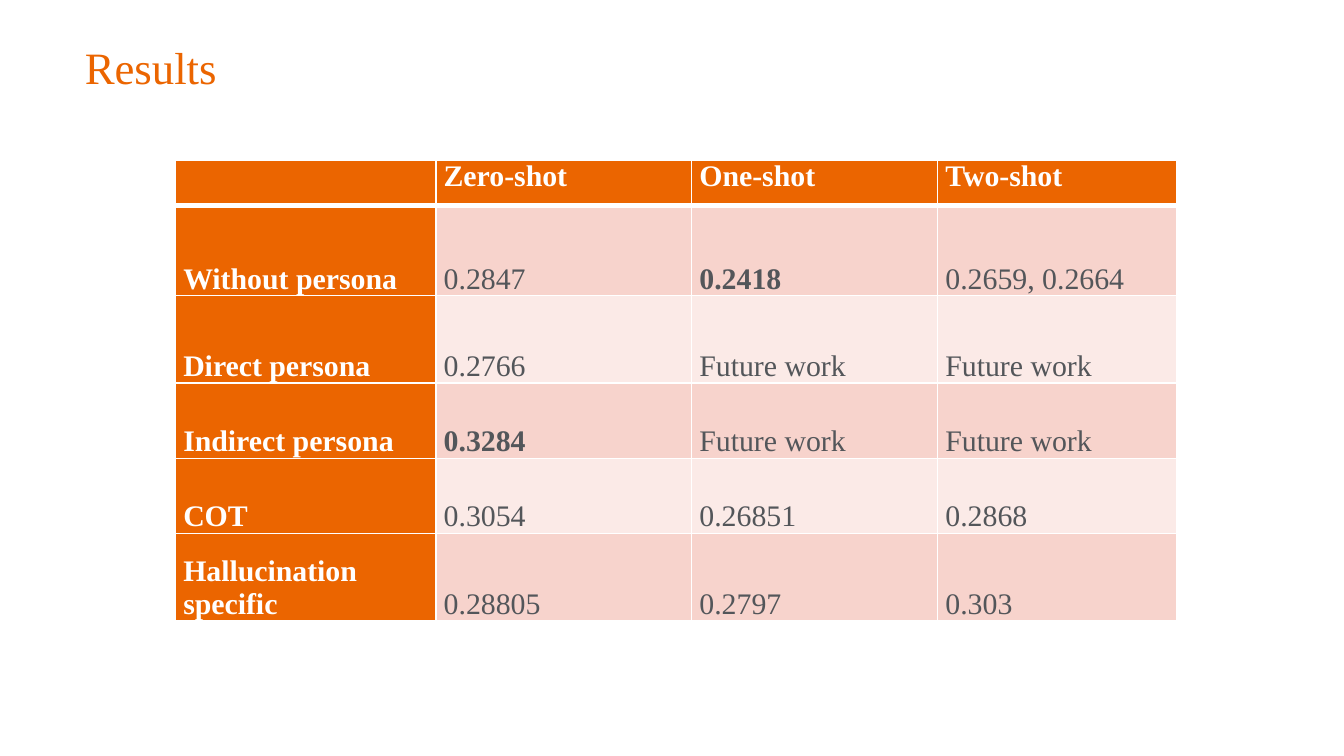
import pptx
import pptx.dml.color
import pptx.enum.text
import pptx.oxml
import pptx.oxml.ns
import pptx.util

Pt = pptx.util.Pt
FONT = "Times New Roman"
ORANGE, WHITE, GREY = "EB6500", "FFFFFF", "53565A"
BANDS = ("FBEAE7", "F7D3CC")
COLUMN_WIDTHS = (139.5, 137, 131.8, 128)
ROW_HEIGHTS = (24.3, 48.2, 46.9, 40.3, 40.3, 46.8)
RESULTS = (
    ("", "Zero-shot", "One-shot", "Two-shot"),
    ("Without persona ", "0.2847", "0.2418", "0.2659, 0.2664"),
    ("Direct persona  ", "0.2766", "Future work", "Future work"),
    ("Indirect persona", "0.3284", "Future work", "Future work"),
    ("COT", "0.3054", "0.26851", "0.2868"),
    ("Hallucination specific ", "0.28805", "0.2797", "0.303"),
)
HIGHLIGHTS = ("0.2418", "0.3284")


def rgb(value):
    """Return the colour for a hex string."""
    return pptx.dml.color.RGBColor.from_string(value)


def format_font(font, size, color, bold=False):
    """Set typeface, size, colour and weight."""
    font.name = FONT
    font.size = Pt(size)
    font.bold = bold
    font.color.rgb = rgb(color)


def set_borders(cell, top, bottom):
    """Draw white borders with the given top and bottom widths in points."""
    properties = cell._tc.get_or_add_tcPr()
    for side, width in (("L", 1), ("R", 1), ("T", top), ("B", bottom)):
        properties.append(pptx.oxml.parse_xml(
            f'<a:ln{side} {pptx.oxml.ns.nsdecls("a")} w="{Pt(width)}">'
            f'<a:solidFill><a:srgbClr val="{WHITE}"/></a:solidFill></a:ln{side}>'
        ))


def add_title(slide, text):
    """Fill and place the title placeholder."""
    title = slide.shapes.title
    title.left, title.top, title.width, title.height = Pt(45.4), Pt(17.3), Pt(629.3), Pt(36.7)
    frame = title.text_frame
    frame.text = text
    frame.margin_left = frame.margin_right = frame.margin_top = frame.margin_bottom = 0
    frame.vertical_anchor = pptx.enum.text.MSO_ANCHOR.MIDDLE
    paragraph = frame.paragraphs[0]
    paragraph.alignment = pptx.enum.text.PP_ALIGN.LEFT
    format_font(paragraph.runs[0].font, 24, ORANGE)


def fill_cell(cell, text, row, column):
    """Write and style one cell according to its place in the table."""
    is_heading = row == 0 or column == 0
    set_borders(cell, 3 if row == 1 else 1, 3 if row == 0 else 1)
    cell.fill.solid()
    cell.fill.fore_color.rgb = rgb(ORANGE if is_heading else BANDS[row % 2])
    cell.margin_left = cell.margin_right = Pt(4.2)
    cell.margin_top = cell.margin_bottom = 0
    anchor = pptx.enum.text.MSO_ANCHOR
    cell.vertical_anchor = anchor.BOTTOM if row else anchor.TOP
    cell.text_frame.text = text
    paragraph = cell.text_frame.paragraphs[0]
    paragraph.alignment = pptx.enum.text.PP_ALIGN.JUSTIFY
    format_font(paragraph.font, 16, WHITE)
    for run in paragraph.runs:
        format_font(run.font, 16, WHITE if is_heading else GREY,
                    is_heading or text in HIGHLIGHTS)


def add_results_table(slide):
    """Add the table of scores by persona and number of shots."""
    table = slide.shapes.add_table(
        len(ROW_HEIGHTS), len(COLUMN_WIDTHS), Pt(94), Pt(85.9),
        Pt(sum(COLUMN_WIDTHS)), Pt(sum(ROW_HEIGHTS))).table
    table.first_col = True
    for column, width in zip(table.columns, COLUMN_WIDTHS):
        column.width = Pt(width)
    for row, height in zip(table.rows, ROW_HEIGHTS):
        row.height = Pt(height)
    for row, texts in enumerate(RESULTS):
        for column, text in enumerate(texts):
            fill_cell(table.cell(row, column), text, row, column)


def main():
    """Build and save the results slide."""
    presentation = pptx.Presentation()
    presentation.slide_width, presentation.slide_height = Pt(720), Pt(405)
    slide = presentation.slides.add_slide(presentation.slide_layouts[5])
    add_title(slide, "Results")
    add_results_table(slide)
    presentation.save("out.pptx")


if __name__ == "__main__":
    main()
